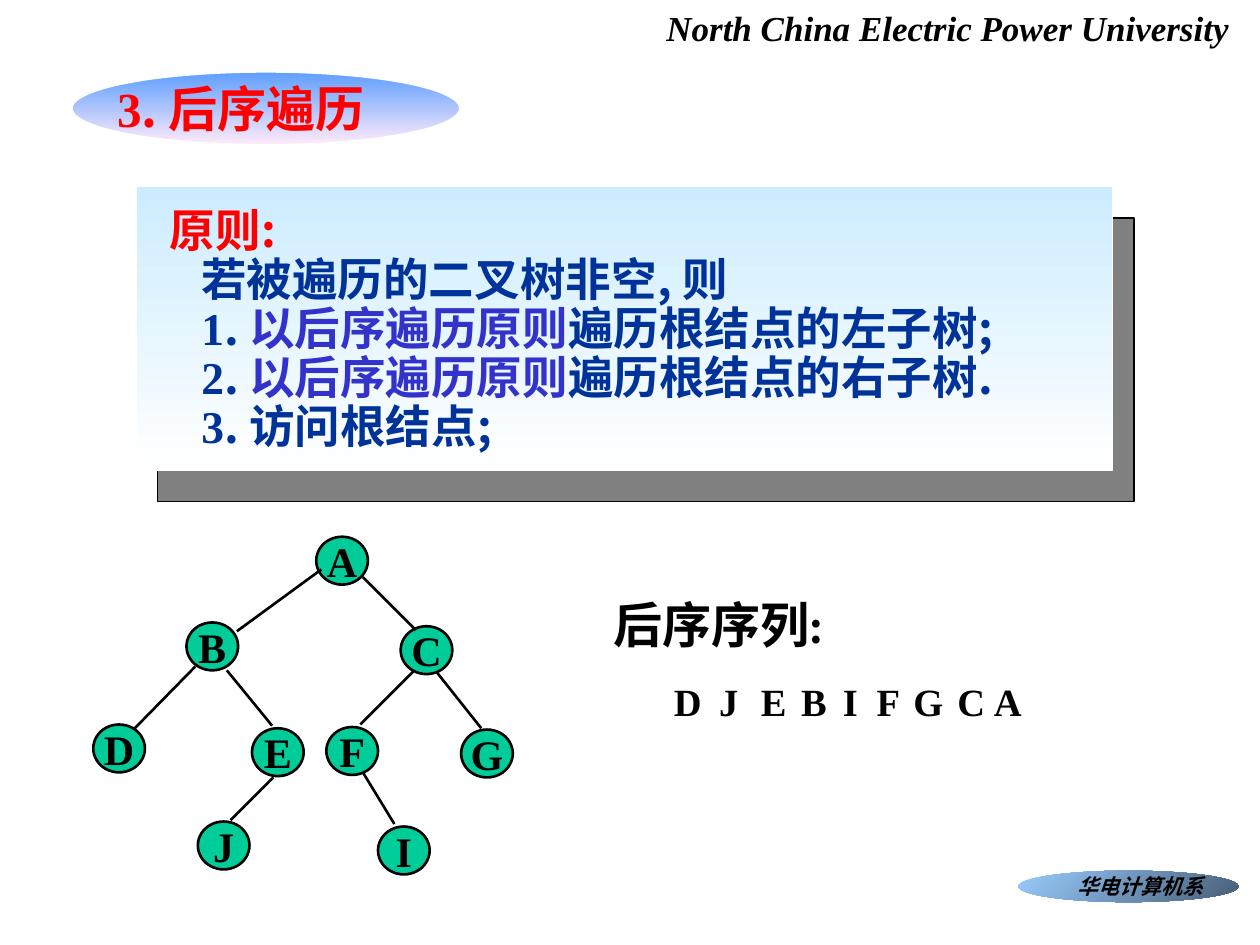
from pptx import Presentation
from pptx.dml import color as c
from pptx.enum import shapes, text
from pptx.oxml import ns, xmlchemy
from pptx.util import Inches, Pt

SERIF = "Times New Roman"
SANS = "Noto Sans CJK SC"
BLACK, RED, NAVY, BLUE = "000000", "FF0000", "003399", "3333CC"


def rgb(value):
    """Turn a hex string into a colour."""
    return c.RGBColor.from_string(value)


def write(paragraph, size, *runs, italic=False):
    """Fill a bold paragraph with (text, font, colour) runs."""
    paragraph.font.size = Pt(size)
    paragraph.font.bold = True
    paragraph.font.italic = italic
    for words, font, colour in runs:
        run = paragraph.add_run()
        run.text = words
        run.font.color.rgb = rgb(colour)
        run.font.name = font
        east_asian = xmlchemy.OxmlElement("a:ea")
        east_asian.set("typeface", font)
        run._r.get_or_add_rPr().find(ns.qn("a:latin")).addnext(east_asian)


def add_text_box(slide, left, top, width, height, wrap=True):
    """Add an empty text box and return its text frame."""
    frame = slide.shapes.add_textbox(
        Inches(left), Inches(top), Inches(width), Inches(height)).text_frame
    frame.word_wrap = wrap
    return frame


def add_shape(slide, kind, left, top, width, height, fills, line=None, weight=1, angle=270):
    """Add a shape with a plain fill or a two-colour gradient."""
    shape = slide.shapes.add_shape(
        kind, Inches(left), Inches(top), Inches(width), Inches(height))
    shape.shadow.inherit = False
    if len(fills) == 1:
        shape.fill.solid()
        shape.fill.fore_color.rgb = rgb(fills[0])
    else:
        shape.fill.gradient()
        shape.fill.gradient_angle = angle
        for stop, colour in zip(shape.fill.gradient_stops, fills):
            stop.color.rgb = rgb(colour)
    if line:
        shape.line.color.rgb = rgb(line)
        shape.line.width = Pt(weight)
    else:
        shape.line.fill.background()
    return shape


def add_header(slide, left, top, width, height):
    """Write the university name."""
    frame = add_text_box(slide, left, top, width, height, wrap=False)
    write(frame.paragraphs[0], 20,
          ("North China Electric Power University", SERIF, BLACK), italic=True)


def add_department(slide, left, top, width, height):
    """Draw the department label on its ellipse."""
    ellipse = add_shape(slide, shapes.MSO_SHAPE.OVAL, left, top, width, height,
                        ["99CCFF", "475E76"], angle=315)
    frame = ellipse.text_frame
    frame.word_wrap = False
    frame.margin_left = Inches(0.2)
    frame.margin_right = frame.margin_top = frame.margin_bottom = 0
    frame.vertical_anchor = text.MSO_ANCHOR.MIDDLE
    frame.paragraphs[0].alignment = text.PP_ALIGN.CENTER
    write(frame.paragraphs[0], 12, ("华电计算机系", SANS, BLACK), italic=True)


def add_title(slide, left, top, width, height):
    """Put the title in front of its gradient ellipse."""
    add_shape(slide, shapes.MSO_SHAPE.OVAL, left, top, width, height,
              ["5E9EFF", "FFEBFA"], "FFFFFF")
    title = slide.shapes.title
    title.left, title.top = Inches(left + 0.26), Inches(top)
    title.width, title.height = Inches(2.61), Inches(height)
    frame = title.text_frame
    frame.auto_size = text.MSO_AUTO_SIZE.NONE
    frame.vertical_anchor = text.MSO_ANCHOR.TOP
    frame.paragraphs[0].alignment = text.PP_ALIGN.LEFT
    write(frame.paragraphs[0], 28, ("3", SERIF, RED), (". 后序遍历", SANS, RED))
    title.element.getparent().append(title.element)


def add_principle(slide, left, top, width, height):
    """Draw the panel with its offset backing and the traversal rules."""
    rectangle = shapes.MSO_SHAPE.RECTANGLE
    add_shape(slide, rectangle, left + 0.17, top + 0.25, width, height, ["808080"], BLACK)
    add_shape(slide, rectangle, left, top, width, height, ["CCECFF", "FFFFFF"], "FFFFFF")
    frame = add_text_box(slide, left + 0.17, top + 0.12, width, height - 0.2)
    recursion = (". ", SANS, NAVY), ("以后序遍历原则", SANS, BLUE)
    lines = [
        [("原则:", SANS, RED)],
        [("若被遍历的二叉树非空, 则", SANS, NAVY)],
        [("1", SERIF, NAVY), *recursion, ("遍历根结点的左子树;", SANS, NAVY)],
        [("2", SERIF, NAVY), *recursion, ("遍历根结点的右子树.", SANS, NAVY)],
        [("3", SERIF, NAVY), (". 访问根结点;", SANS, NAVY)],
    ]
    for index, runs in enumerate(lines):
        paragraph = frame.add_paragraph() if index else frame.paragraphs[0]
        paragraph.line_spacing = 0.9
        if index:
            properties = paragraph._p.get_or_add_pPr()
            properties.set("marL", str(Inches(0.25)))
            properties.set("indent", "0")
        write(paragraph, 26, *runs)


def add_tree(slide, left, top):
    """Draw the binary tree: nodes, then edges."""
    nodes = {"A": (1.77, 0), "B": (0.74, 0.68), "C": (2.44, 0.71),
             "D": (0, 1.49), "E": (1.26, 1.52), "F": (1.85, 1.51),
             "G": (2.92, 1.53), "J": (0.83, 2.26), "I": (2.26, 2.3)}
    edges = [(1.81, 0.26, 1.14, 0.75), (2.14, 0.32, 2.56, 0.74),
             (0.81, 1.03, 0.33, 1.52), (1.06, 1.06, 1.42, 1.5),
             (2.54, 1.07, 2.12, 1.49), (2.73, 1.08, 3.08, 1.52),
             (1.43, 1.91, 1.09, 2.25), (2.14, 1.87, 2.39, 2.28)]
    for letter, (x, y) in nodes.items():
        node = add_shape(slide, shapes.MSO_SHAPE.OVAL, left + x, top + y, 0.41, 0.38,
                         ["00CC99"], BLACK, 1.5)
        frame = node.text_frame
        frame.word_wrap = False
        frame.vertical_anchor = text.MSO_ANCHOR.MIDDLE
        frame.paragraphs[0].alignment = text.PP_ALIGN.CENTER
        write(frame.paragraphs[0], 24, (letter, SERIF, BLACK))
    for x1, y1, x2, y2 in edges:
        edge = slide.shapes.add_connector(
            shapes.MSO_CONNECTOR.STRAIGHT, Inches(left + x1), Inches(top + y1),
            Inches(left + x2), Inches(top + y2))
        edge.line.color.rgb = rgb(BLACK)
        edge.line.width = Pt(1.5)
        edge.element.spPr.append(xmlchemy.OxmlElement("a:effectLst"))


def add_sequence(slide, left, top):
    """Write the heading and the letters in postorder."""
    heading = add_text_box(slide, left, top, 2.04, 0.57).paragraphs[0]
    write(heading, 28, ("后序序列", SANS, BLACK), (":", SANS, BLACK))
    heading.runs[1].font.size = Pt(24)
    offsets = [0.48, 0.84, 1.17, 1.49, 1.82, 2.09, 2.38, 2.73, 3.02]
    for letter, offset in zip("DJEBIFGCA", offsets):
        frame = add_text_box(slide, left + offset, top + 0.66, 0.45, 0.47)
        write(frame.paragraphs[0], 22, (letter, SERIF, BLACK))


def main():
    """Build and save the slide."""
    presentation = Presentation()
    presentation.slide_width, presentation.slide_height = Inches(10), Inches(7.5)
    slide = presentation.slides.add_slide(presentation.slide_layouts[5])
    add_header(slide, 5.19, 0, 4.67, 0.44)
    add_department(slide, 8.08, 6.91, 1.75, 0.25)
    add_title(slide, 0.57, 0.57, 3.08, 0.58)
    add_tree(slide, 0.74, 4.26)
    add_principle(slide, 1.08, 1.48, 7.75, 2.25)
    add_sequence(slide, 4.77, 4.67)
    presentation.save("out.pptx")


if __name__ == "__main__":
    main()
